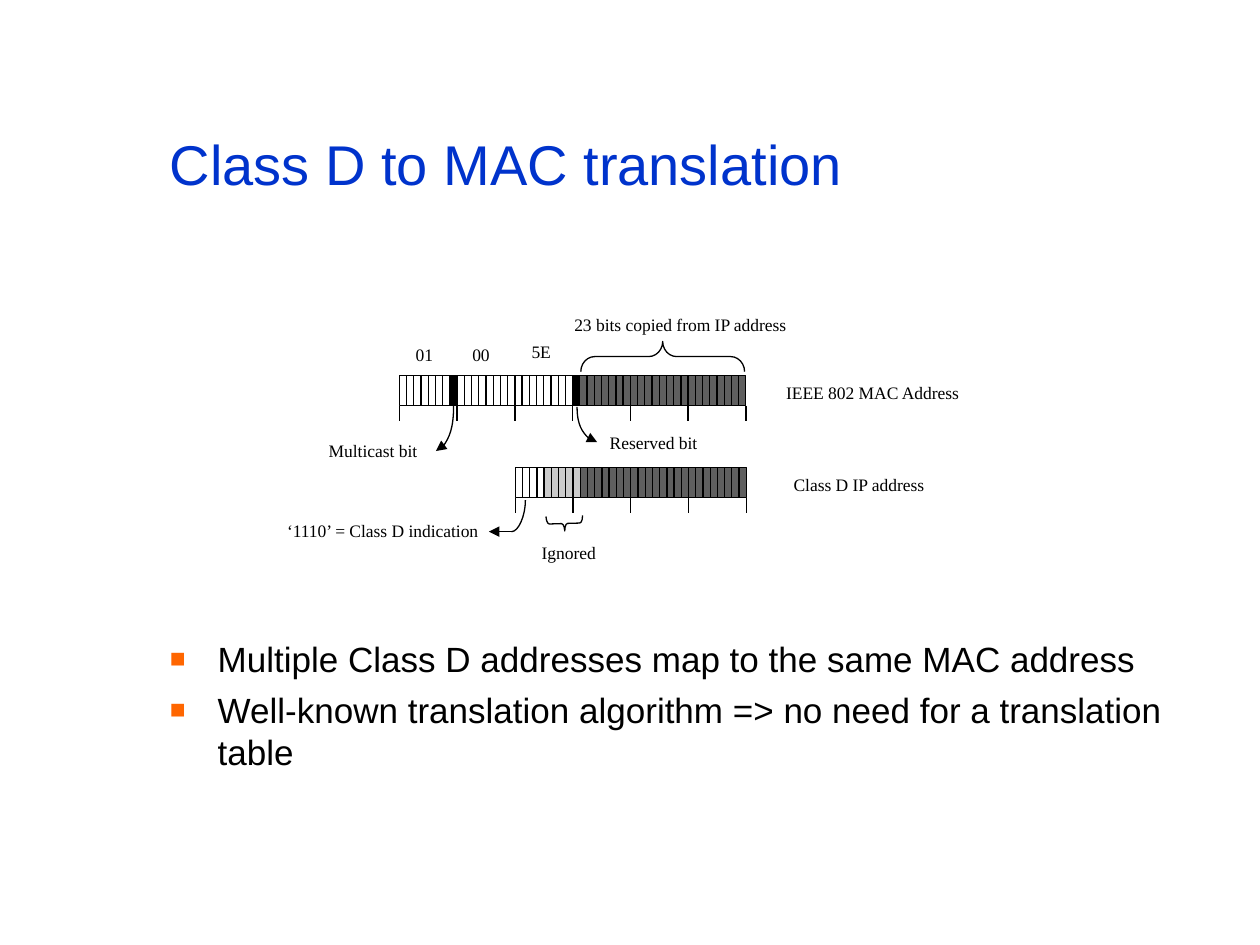
from lxml.etree import SubElement
from pptx import Presentation
from pptx.dml.color import RGBColor
from pptx.enum.shapes import MSO_CONNECTOR, MSO_SHAPE
from pptx.enum.text import MSO_ANCHOR
from pptx.oxml.ns import qn
from pptx.util import Inches, Pt

COLORS = {"title": "0033CC", "ink": "000000", "bullet": "FF6600",
          "copied": "5F5F5F", "ignored": "CBCBCB"}
PITCH = 2.75 / 48
MAC_LEFT, MAC_TOP = 3.17, 2.98
IP_LEFT, IP_TOP = 4.09, 3.71
CELL_HEIGHT = 0.24
TICK_LENGTH = 0.12

MAC_BITS = [None] * 7 + ["ink"] + [None] * 16 + ["ink"] + ["copied"] * 23
IP_BITS = [None] * 4 + ["ignored"] * 5 + ["copied"] * 23

LABELS = [
    ("01", 3.2, 2.68, 0.39),
    ("00", 3.65, 2.68, 0.39),
    ("5E", 4.12, 2.66, 0.39),
    ("23 bits copied from IP address", 4.46, 2.44, 2.07),
    ("IEEE 802 MAC Address", 6.14, 2.98, 1.68),
    ("Class D IP address", 6.2, 3.71, 1.29),
    ("Ignored", 4.2, 4.25, 0.64),
    ("‘1110’ = Class D indication", 2.18, 4.08, 1.93),
    ("Multicast bit", 2.51, 3.44, 0.95),
    ("Reserved bit", 4.74, 3.38, 0.95),
]
BULLETS = [
    "Multiple Class D addresses map to the same MAC address",
    "Well-known translation algorithm => no need for a translation table",
]


class Diagram:
    """Draws styled elements on the current slide."""

    def __init__(self, page):
        self.page = page
        self.line_width = Pt(0.75)

    def color(self, name):
        return RGBColor.from_string(COLORS[name])

    def outline(self, shape):
        shape.line.color.rgb = self.color("ink")
        shape.line.width = self.line_width

    def text(self, lines, left, top, width, height, size=10,
             font="Times New Roman", color="ink", anchor=MSO_ANCHOR.TOP):
        box = self.page.shapes.add_textbox(
            Inches(left), Inches(top), Inches(width), Inches(height))
        frame = box.text_frame
        frame.word_wrap = True
        frame.vertical_anchor = anchor
        frame.text = "\n".join(lines)
        for para in frame.paragraphs:
            for span in para.runs:
                span.font.size = Pt(size)
                span.font.name = font
                span.font.color.rgb = self.color(color)
        return frame

    def bullets(self, lines, left, top, width, height):
        frame = self.text(lines, left, top, width, height, 20, "Arial")
        for index, para in enumerate(frame.paragraphs):
            para.space_before = Pt(5 if index else 0)
            properties = para._p.get_or_add_pPr()
            properties.set("marL", str(Inches(0.38)))
            properties.set("indent", str(Inches(-0.38)))
            tint = SubElement(properties, qn("a:buClr"))
            SubElement(tint, qn("a:srgbClr"), val=COLORS["bullet"])
            SubElement(properties, qn("a:buSzPct"), val="75000")
            SubElement(properties, qn("a:buFont"), typeface="Arial")
            SubElement(properties, qn("a:buChar"), char="■")

    def shape(self, kind, left, top, width, height, fill=None):
        shape = self.page.shapes.add_shape(
            kind, Inches(left), Inches(top), Inches(width), Inches(height))
        shape.shadow.inherit = False
        if fill:
            shape.fill.solid()
            shape.fill.fore_color.rgb = self.color(fill)
        else:
            shape.fill.background()
        self.outline(shape)
        return shape

    def brace(self, left, top, width, height, rotation, curl):
        brace = self.shape(MSO_SHAPE.RIGHT_BRACE, left, top, width, height)
        brace.rotation = rotation
        brace.adjustments[0] = curl

    def line(self, start, end, arrow=False, kind=MSO_CONNECTOR.STRAIGHT):
        line = self.page.shapes.add_connector(
            kind, *[Inches(value) for value in (*start, *end)])
        self.outline(line)
        if arrow:
            SubElement(line.line._get_or_add_ln(), qn("a:tailEnd"), type="triangle")
        SubElement(line._element.spPr, qn("a:effectLst"))
        return line

    def curve(self, start, end, rotation=0, arrow=True):
        curve = self.line(start, end, arrow, MSO_CONNECTOR.CURVE)
        properties = curve._element.spPr
        properties.find(qn("a:prstGeom")).set("prst", "curvedConnector2")
        properties.find(qn("a:xfrm")).set("rot", str(rotation * 60000))

    def address(self, bits, left, top):
        for index, fill in enumerate(bits):
            self.shape(MSO_SHAPE.RECTANGLE, left + index * PITCH, top,
                       PITCH, CELL_HEIGHT, fill)
        tick_top = top + CELL_HEIGHT
        for index in range(0, len(bits) + 1, 8):
            x = left + index * PITCH
            self.line((x, tick_top), (x, tick_top + TICK_LENGTH))


def main():
    deck = Presentation()
    deck.slide_width, deck.slide_height = Inches(10), Inches(7.5)
    diagram = Diagram(deck.slides.add_slide(deck.slide_layouts[6]))
    diagram.text(["Class D to MAC translation"], 1.25, 0.67, 8.5, 1.25,
                 32, "Arial", "title", MSO_ANCHOR.MIDDLE)
    diagram.bullets(BULLETS, 1.25, 5.01, 8.5, 1.66)
    diagram.address(IP_BITS, IP_LEFT, IP_TOP)
    diagram.address(MAC_BITS, MAC_LEFT, MAC_TOP)
    for words, left, top, width in LABELS:
        diagram.text([words], left, top, width, 0.27)
    diagram.brace(5.14, 2.18, 0.24, 1.3, 270, 0.46)
    diagram.brace(4.42, 4.01, 0.12, 0.29, 88.2, 0.2)
    diagram.curve((4.06, 4.22), (4.17, 3.97), arrow=False)
    diagram.line((4.07, 4.22), (3.88, 4.22), arrow=True)
    diagram.curve((3.35, 3.33), (3.71, 3.47), 90)
    diagram.curve((4.8, 3.29), (4.52, 3.45), 270)
    deck.save("out.pptx")


if __name__ == "__main__":
    main()
